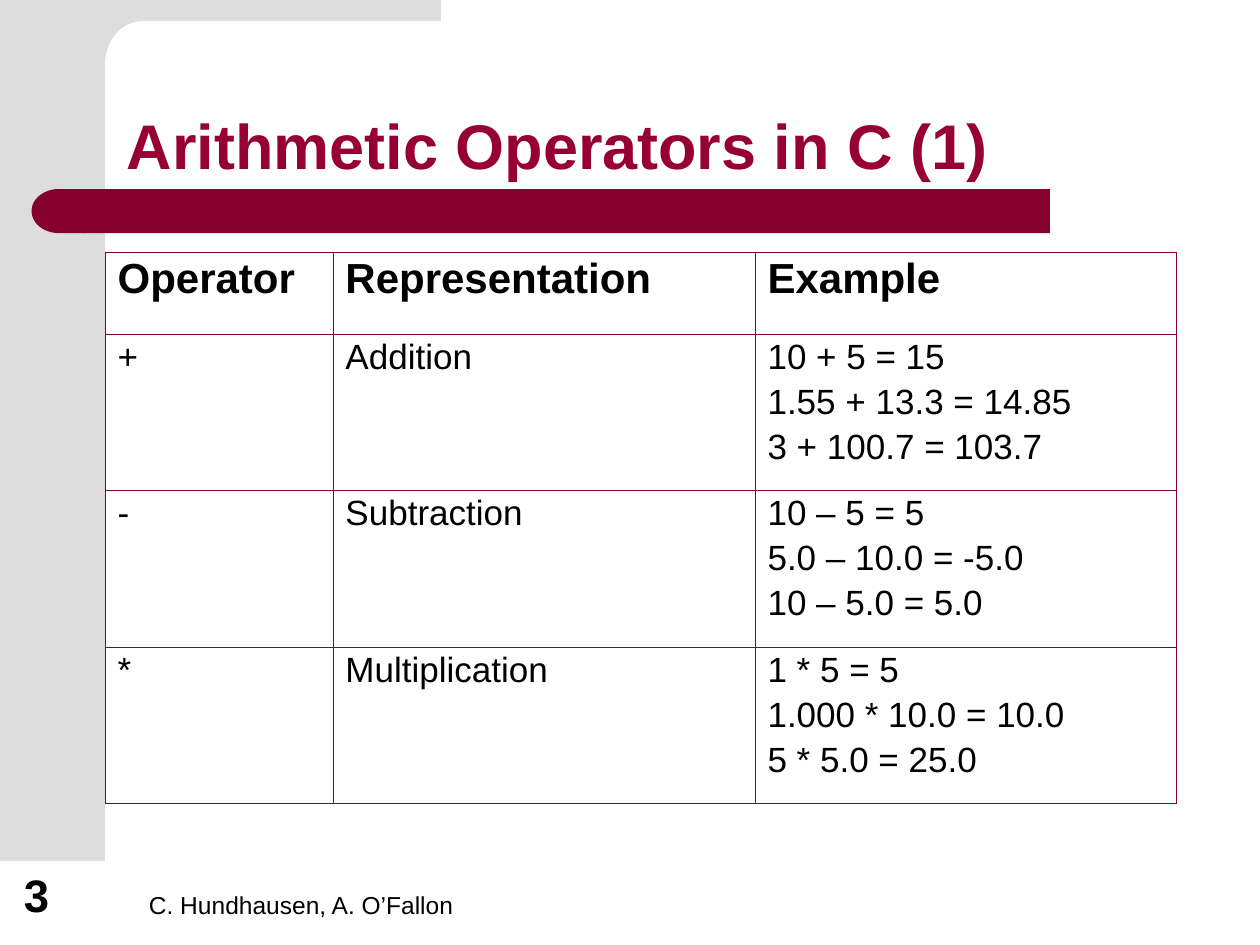
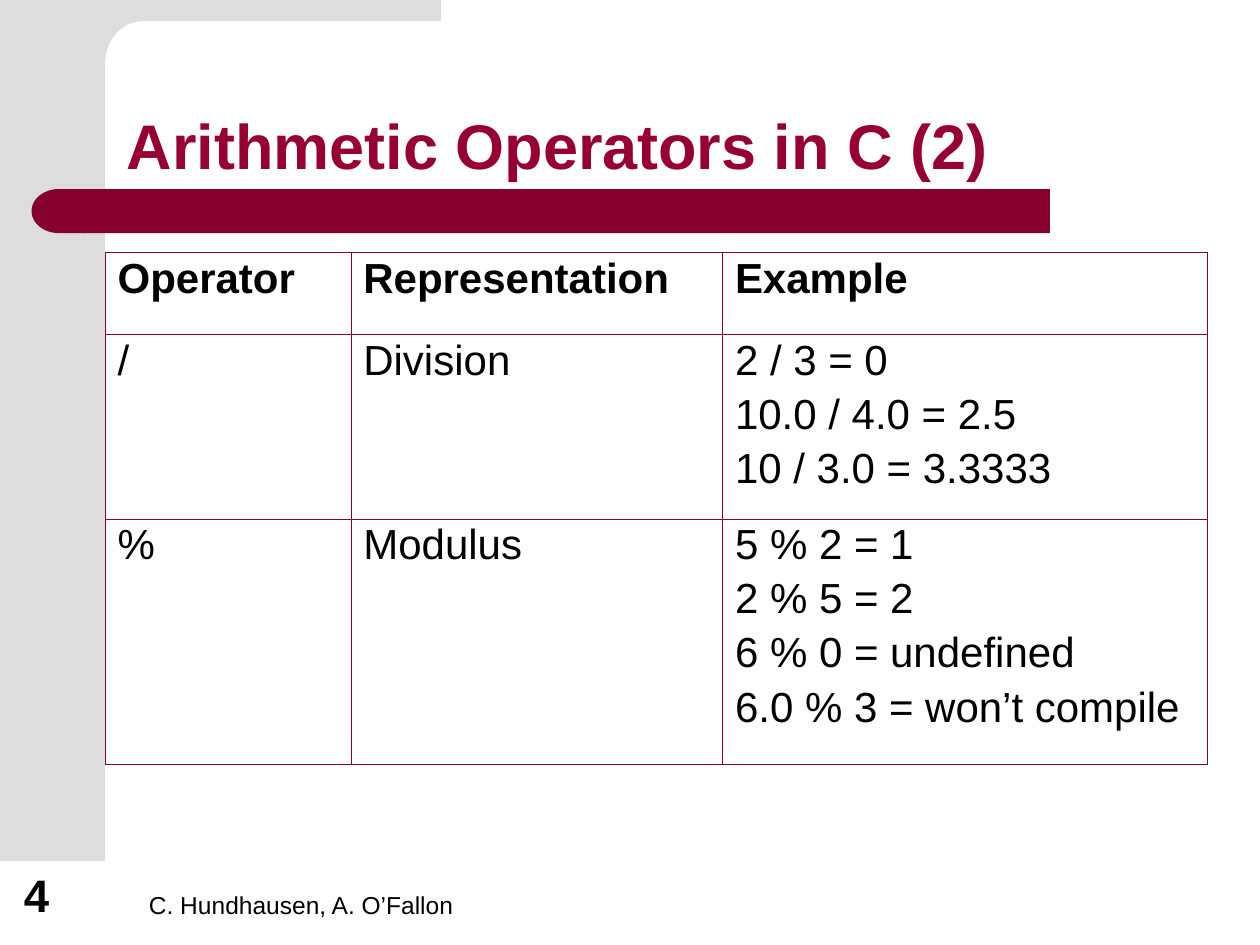
import math

import lxml.etree
import pptx
import pptx.dml.color
import pptx.enum.shapes
import pptx.enum.text
import pptx.oxml.ns
import pptx.util

COLUMNS, ROWS = 120, 90  # slide grid: twelve units to the inch
UNIT = pptx.util.Inches(1 / 12)
FONT = "Arial"
GREY, MAROON, TITLE_RED, BORDER, BLACK = "DDDDDD", "86002D", "960032", "8A002E", "000000"
SIDEBAR_WIDTH, SIDEBAR_HEIGHT = 10, 82
BAND_TOP, BAND_HEIGHT = 18, 4.2
TABLE_LEFT, TABLE_TOP = SIDEBAR_WIDTH, 24
OUTER_BORDER, INNER_BORDER = 0.5, 0.23
HEADINGS = ("Operator", "Representation", "Example")
HEADING_HEIGHT, HEADING_SIZE = 7.8, 24
FOOTER = "C. Hundhausen, A. O’Fallon"

OPERATOR_SLIDES = [
    {
        "number": 3,
        "title": "Arithmetic Operators in C (1)",
        "widths": (21.7, 40.2, 40.1),
        "heights": (14.9, 14.9, 14.9),
        "size": 20,
        "operators": [
            ("+", "Addition", "10 + 5 = 15\n1.55 + 13.3 = 14.85\n3 + 100.7 = 103.7"),
            ("-", "Subtraction", "10 – 5 = 5\n5.0 – 10.0 = -5.0\n10 – 5.0 = 5.0"),
            ("*", "Multiplication", "1 * 5 = 5\n1.000 * 10.0 = 10.0\n5 * 5.0 = 25.0"),
        ],
    },
    {
        "number": 4,
        "title": "Arithmetic Operators in C (2)",
        "widths": (23.4, 35.4, 46.2),
        "heights": (17.6, 23.4),
        "size": 24,
        "operators": [
            ("/", "Division", "2 / 3 = 0\n10.0 / 4.0 = 2.5\n10 / 3.0 = 3.3333"),
            ("%", "Modulus",
             "5 % 2 = 1\n2 % 5 = 2\n6 % 0 = undefined\n6.0 % 3 = won’t compile"),
        ],
    },
]


def grid(*units):
    """Turn grid units into slide lengths."""
    return [pptx.util.Emu(round(unit * UNIT)) for unit in units]


def rgb(value):
    return pptx.dml.color.RGBColor.from_string(value)


def paint(shape, color):
    shape.shadow.inherit = False
    shape.fill.solid()
    shape.fill.fore_color.rgb = rgb(color)
    shape.line.fill.background()


def add_block(slide, kind, box, color):
    shape = slide.shapes.add_shape(kind, *grid(*box))
    paint(shape, color)
    return shape


def add_corner(slide):
    """Draw the top strip, with its rounded inner corner beside the sidebar."""
    center_x, center_y, radius_x, radius_y = 13.6, 6.1, 3.6, 4.1
    angles = [math.radians(degrees) for degrees in range(90, 181, 6)]
    curve = [(center_x + radius_x * math.cos(angle), center_y - radius_y * math.sin(angle))
             for angle in angles]
    outline = [(42, 2), *curve, (SIDEBAR_WIDTH, 7.3), (6, 7.3), (6, 0)]
    builder = slide.shapes.build_freeform(*grid(42, 0))
    builder.add_line_segments([grid(*point) for point in outline], close=True)
    paint(builder.convert_to_shape(), GREY)


def write(frame, text, size, color=BLACK, bold=False, line_spacing=None, space_before=None):
    frame.text = text
    for paragraph in frame.paragraphs:
        paragraph.line_spacing = line_spacing
        paragraph.space_before = space_before
        paragraph.font.name = FONT
        paragraph.font.size = pptx.util.Pt(size)
        paragraph.font.bold = bold
        paragraph.font.color.rgb = rgb(color)


def add_text(slide, box, text, size, **style):
    frame = slide.shapes.add_textbox(*grid(*box)).text_frame
    frame.word_wrap = True
    frame.vertical_anchor = pptx.enum.text.MSO_ANCHOR.BOTTOM
    write(frame, text, size, **style)


def add_frame(slide, title, number):
    """Draw what every slide shares: sidebar, band, footer, number and title."""
    kinds = pptx.enum.shapes.MSO_SHAPE
    add_block(slide, kinds.RECTANGLE, (0, 0, SIDEBAR_WIDTH, SIDEBAR_HEIGHT), GREY)
    add_corner(slide)
    add_block(slide, kinds.RECTANGLE, (8, BAND_TOP, 92, BAND_HEIGHT), MAROON)
    cap = add_block(slide, kinds.FLOWCHART_DELAY, (3, BAND_TOP, 5.2, BAND_HEIGHT), MAROON)
    cap.rotation = 180
    add_text(slide, (13, SIDEBAR_HEIGHT, 45, 6.2), FOOTER, 14)
    add_text(slide, (1.1, SIDEBAR_HEIGHT, 7.7, 6.4), str(number), 26, bold=True)
    add_text(slide, (10.9, 4.9, 102.1, 13.1), title, 36,
             color=TITLE_RED, bold=True, line_spacing=0.9)


def add_border(cell, side, width):
    properties = cell._tc.get_or_add_tcPr()
    name = pptx.oxml.ns.qn
    line = lxml.etree.SubElement(properties, name(f"a:ln{side}"), w=str(pptx.util.Pt(width)))
    fill = lxml.etree.SubElement(line, name("a:solidFill"))
    lxml.etree.SubElement(fill, name("a:srgbClr"), val=BORDER)


def add_operator_table(slide, widths, heights, size, operators):
    heights = (HEADING_HEIGHT, *heights)
    box = grid(TABLE_LEFT, TABLE_TOP, sum(widths), sum(heights))
    table = slide.shapes.add_table(len(heights), len(widths), *box).table
    table.first_row = table.horz_banding = False
    for column, width in zip(table.columns, grid(*widths)):
        column.width = width
    for row, height in zip(table.rows, grid(*heights)):
        row.height = height
    last_row, last_column = len(heights) - 1, len(widths) - 1
    for row, texts in enumerate([HEADINGS, *operators]):
        heading = row == 0
        text_size = HEADING_SIZE if heading else size
        for column, text in enumerate(texts):
            cell = table.cell(row, column)
            write(cell.text_frame, text, text_size, bold=heading,
                  line_spacing=0.93, space_before=pptx.util.Pt(text_size / 4))
            edges = {"L": column == 0, "R": column == last_column,
                     "T": heading, "B": row == last_row}
            for side, is_outer in edges.items():
                add_border(cell, side, OUTER_BORDER if is_outer else INNER_BORDER)
            cell.fill.background()


def main():
    presentation = pptx.Presentation()
    presentation.slide_width, presentation.slide_height = grid(COLUMNS, ROWS)
    blank = presentation.slide_layouts[6]
    for content in OPERATOR_SLIDES:
        slide = presentation.slides.add_slide(blank)
        add_frame(slide, content["title"], content["number"])
        add_operator_table(slide, content["widths"], content["heights"],
                           content["size"], content["operators"])
    presentation.save("out.pptx")


if __name__ == "__main__":
    main()
